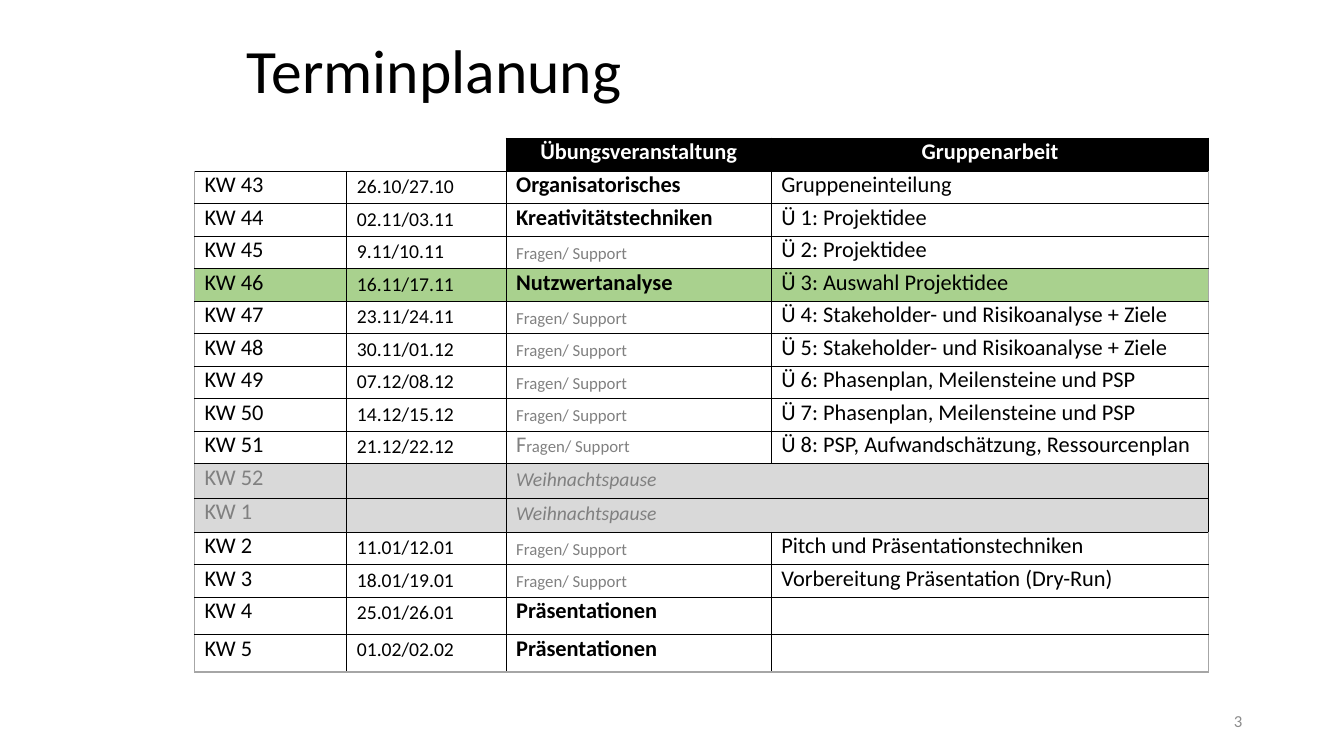
from dataclasses import dataclass

from lxml.etree import SubElement
from pptx import Presentation
from pptx.dml.color import RGBColor
from pptx.enum.text import MSO_ANCHOR as Anchor, PP_ALIGN as Align
from pptx.oxml.ns import qn
from pptx.util import Inches, Pt

FONT = "Calibri"
BLACK = "000000"
WHITE = "FFFFFF"
GRAY = "808080"
EDGE_GRAY = "A6A6A6"
PAUSE_FILL = "D9D9D9"
CURRENT_FILL = "A9D18E"

LEFT, TOP = 1.93, 1.37
COLUMN_WIDTHS = (1.51, 1.58, 2.63, 4.34)
HEADER_HEIGHT = 0.33
EMPTY_CELL_SIZE = 12


@dataclass(frozen=True)
class Style:
    size: int = 16
    color: str = BLACK
    bold: bool = False
    italic: bool = False


@dataclass(frozen=True)
class Piece:
    text: str
    style: Style = Style()


@dataclass(frozen=True)
class Week:
    name: str
    dates: str
    session: tuple[Piece, ...]
    group_work: str = ""
    fill: str = WHITE
    height: float = 0.32
    pause: bool = False


HEADER = Style(color=WHITE, bold=True)
DATES = Style(size=14)
TOPIC = Style(bold=True)
SUPPORT = Style(size=12, color=GRAY)
PAUSE = Style(size=14, color=GRAY, italic=True)


def topic(text: str) -> tuple[Piece, ...]:
    return (Piece(text, TOPIC),)


def pause_week(name: str) -> Week:
    session = (Piece("Weihnachtspause", PAUSE),)
    return Week(name, "", session, fill=PAUSE_FILL, height=0.34, pause=True)


QUESTIONS = (Piece("Fragen/ Support", SUPPORT),)
LARGE_F_QUESTIONS = (Piece("F", Style(color=GRAY)), Piece("ragen/ Support", SUPPORT))

WEEKS = (
    Week("KW 43", "26.10/27.10", topic("Organisatorisches"), "Gruppeneinteilung"),
    Week("KW 44", "02.11/03.11", topic("Kreativitätstechniken"), "Ü 1: Projektidee"),
    Week("KW 45", "9.11/10.11", QUESTIONS, "Ü 2: Projektidee"),
    Week("KW 46", "16.11/17.11", topic("Nutzwertanalyse"), "Ü 3: Auswahl Projektidee", CURRENT_FILL),
    Week("KW 47", "23.11/24.11", QUESTIONS, "Ü 4: Stakeholder- und Risikoanalyse + Ziele"),
    Week("KW 48", "30.11/01.12", QUESTIONS, "Ü 5: Stakeholder- und Risikoanalyse + Ziele"),
    Week("KW 49", "07.12/08.12", QUESTIONS, "Ü 6: Phasenplan, Meilensteine und PSP"),
    Week("KW 50", "14.12/15.12", QUESTIONS, "Ü 7: Phasenplan, Meilensteine und PSP"),
    Week("KW 51", "21.12/22.12", LARGE_F_QUESTIONS, "Ü 8: PSP, Aufwandschätzung, Ressourcenplan"),
    pause_week("KW 52"),
    pause_week("KW 1"),
    Week("KW 2", "11.01/12.01", QUESTIONS, "Pitch und Präsentationstechniken"),
    Week("KW 3", "18.01/19.01", QUESTIONS, "Vorbereitung Präsentation (Dry-Run)"),
    Week("KW 4", "25.01/26.01", topic("Präsentationen"), height=0.37),
    Week("KW 5", "01.02/02.02", topic("Präsentationen"), height=0.37),
)


def rgb(color: str) -> RGBColor:
    return RGBColor.from_string(color)


def add_pieces(paragraph, pieces: tuple[Piece, ...]) -> None:
    for piece in pieces:
        run = paragraph.add_run()
        run.text = piece.text
        font = run.font
        font.name = FONT
        font.size = Pt(piece.style.size)
        font.bold = piece.style.bold
        font.italic = piece.style.italic
        font.color.rgb = rgb(piece.style.color)


def add_text(slide, box: tuple[float, ...], piece: Piece, align: Align, spacing: float) -> None:
    frame = slide.shapes.add_textbox(*map(Inches, box)).text_frame
    frame.word_wrap = True
    frame.vertical_anchor = Anchor.MIDDLE
    paragraph = frame.paragraphs[0]
    paragraph.alignment = align
    paragraph.line_spacing = spacing
    add_pieces(paragraph, (piece,))


def set_borders(cell, sides: str, edges: str) -> None:
    properties = cell._tc.get_or_add_tcPr()
    for side in "LRTB":
        line = SubElement(properties, qn(f"a:ln{side}"), w=str(Pt(1)))
        if side in sides:
            fill = SubElement(line, qn("a:solidFill"))
            SubElement(fill, qn("a:srgbClr"), val=EDGE_GRAY if side in edges else BLACK)
        else:
            SubElement(line, qn("a:noFill"))


def fill_cell(cell, pieces: tuple[Piece, ...], fill: str, sides: str = "LRTB",
              edges: str = "", align: Align = Align.LEFT) -> None:
    set_borders(cell, sides, edges)
    cell.fill.solid()
    cell.fill.fore_color.rgb = rgb(fill)
    paragraph = cell.text_frame.paragraphs[0]
    paragraph.alignment = align
    paragraph.line_spacing = Pt(16)
    add_pieces(paragraph, pieces)
    if not pieces:
        SubElement(paragraph._p, qn("a:endParaRPr"), sz=str(EMPTY_CELL_SIZE * 100))


def outer_edges(row: int, column: int) -> str:
    left = "L" if column == 0 else ""
    right = "R" if column == len(COLUMN_WIDTHS) - 1 else ""
    bottom = "B" if row == len(WEEKS) else ""
    return left + right + bottom


def add_schedule(slide) -> None:
    heights = (HEADER_HEIGHT, *(week.height for week in WEEKS))
    table = slide.shapes.add_table(
        len(heights), len(COLUMN_WIDTHS), Inches(LEFT), Inches(TOP),
        Inches(sum(COLUMN_WIDTHS)), Inches(sum(heights)),
    ).table
    table.first_row = False
    table.horz_banding = False
    for column, width in zip(table.columns, COLUMN_WIDTHS):
        column.width = Inches(width)
    for row, height in zip(table.rows, heights):
        row.height = Inches(height)

    for index, sides in enumerate(("B", "RB")):
        fill_cell(table.cell(0, index), (), WHITE, sides)
    for index, title in enumerate(("Übungsveranstaltung", "Gruppenarbeit"), 2):
        cell = table.cell(0, index)
        cell.vertical_anchor = Anchor.MIDDLE
        fill_cell(cell, (Piece(title, HEADER),), BLACK, align=Align.CENTER)

    for index, week in enumerate(WEEKS, 1):
        name_style = Style(color=GRAY if week.pause else BLACK)
        contents = (
            (Piece(week.name, name_style),),
            (Piece(week.dates, DATES),) if week.dates else (),
            week.session,
            (Piece(week.group_work),) if week.group_work else (),
        )
        for column, pieces in enumerate(contents):
            fill_cell(table.cell(index, column), pieces, week.fill, edges=outer_edges(index, column))
        if week.pause:
            table.cell(index, 2).merge(table.cell(index, 3))


def main() -> None:
    presentation = Presentation()
    presentation.slide_width = Inches(13.33)
    presentation.slide_height = Inches(7.5)
    slide = presentation.slides.add_slide(presentation.slide_layouts[6])
    add_text(slide, (2.35, 0.22, 8.62, 1.02), Piece("Terminplanung", Style(size=44)), Align.LEFT, 0.9)
    add_text(slide, (9.42, 6.95, 3, 0.4), Piece("3", Style(size=12, color="8C8C8C")), Align.RIGHT, 1.0)
    add_schedule(slide)
    presentation.save("out.pptx")


if __name__ == "__main__":
    main()
